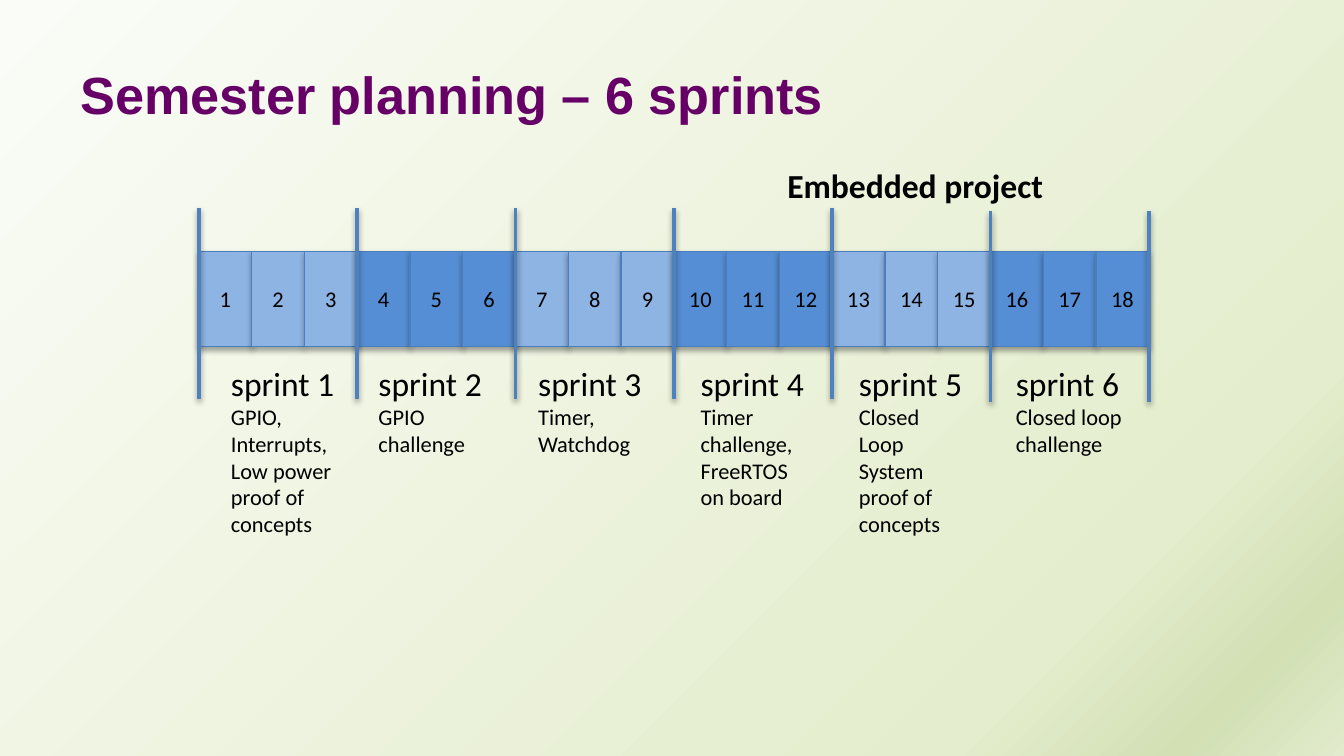
from dataclasses import dataclass

from lxml import etree
from pptx import Presentation
from pptx.dml.color import RGBColor
from pptx.enum.shapes import MSO_CONNECTOR, MSO_SHAPE
from pptx.enum.text import MSO_ANCHOR, PP_ALIGN
from pptx.oxml import parse_xml
from pptx.oxml.ns import nsdecls, qn
from pptx.util import Inches, Pt

RECT, STRAIGHT = MSO_SHAPE.RECTANGLE, MSO_CONNECTOR.STRAIGHT
LEFT, CENTER = PP_ALIGN.LEFT, PP_ALIGN.CENTER
TOP, MIDDLE = MSO_ANCHOR.TOP, MSO_ANCHOR.MIDDLE


@dataclass(frozen=True)
class Theme:
    heading_font: str = "Arial"
    body_font: str = "Calibri"
    heading: str = "660066"
    text: str = "000000"
    weeks: tuple = ("8EB4E3", "558ED5")
    week_line: str = "4B7EBC"
    divider: str = "4F81BD"
    background: tuple = ((0, "FAFCF7"), (81, "E4EDCD"), (92, "D2E0B4"), (100, "E1EBCD"))
    title_size: int = 28
    label_size: int = 18
    small_size: int = 12


def write(p, text, size, font, color, bold=False, align=LEFT):
    p.alignment = align
    r = p.add_run()
    r.text = text
    r.font.size, r.font.name, r.font.bold = Pt(size), font, bold
    r.font.color.rgb = RGBColor.from_string(color)


def add_shadow(effects, alpha, dist):
    """Fill an a:effectLst with a soft shadow that falls straight down."""
    outer = etree.SubElement(effects, qn("a:outerShdw"), blurRad=str(Pt(3.1)),
                             dist=str(Pt(dist)), dir="5400000", rotWithShape="0")
    color = etree.SubElement(outer, qn("a:srgbClr"), val="000000")
    etree.SubElement(color, qn("a:alpha"), val=str(alpha * 1000))


class Deck:
    """Holds the theme and the current slide; lengths are percent of the slide."""

    def __init__(self, theme, width=10, height=5.625):
        self.theme = theme
        self.prs = Presentation()
        self.prs.slide_width, self.prs.slide_height = Inches(width), Inches(height)
        self.s = self.prs.slides.add_slide(self.prs.slide_layouts[6])

    def x(self, share):
        return round(self.prs.slide_width * share / 100)

    def y(self, share):
        return round(self.prs.slide_height * share / 100)

    def place(self, left, top, width, height):
        return self.x(left), self.y(top), self.x(width), self.y(height)

    def background(self):
        stops = "".join(f'<a:gs pos="{pos * 1000}"><a:srgbClr val="{color}"/></a:gs>'
                        for pos, color in self.theme.background)
        self.s.background.fill.solid()
        bg = self.s.background._cSld.bg.bgPr
        bg.replace(bg.find(qn("a:solidFill")), parse_xml(
            f'<a:gradFill {nsdecls("a")} rotWithShape="1"><a:gsLst>{stops}</a:gsLst>'
            '<a:lin ang="2700000" scaled="0"/></a:gradFill>'))

    def text(self, box, lines, anchor=TOP):
        """Add a text box; lines is a list of (text, format) pairs."""
        tf = self.s.shapes.add_textbox(*self.place(*box)).text_frame
        tf.word_wrap, tf.vertical_anchor = True, anchor
        for i, (text, style) in enumerate(lines):
            write(tf.add_paragraph() if i else tf.paragraphs[0], text, **style)

    def week(self, box, number, fill):
        t = self.theme
        sp = self.s.shapes.add_shape(RECT, *self.place(*box))
        sp.fill.solid()
        sp.fill.fore_color.rgb = RGBColor.from_string(fill)
        sp.line.color.rgb = RGBColor.from_string(t.week_line)
        sp.line.width = Pt(0.75)
        sp.shadow.inherit = False
        add_shadow(sp._element.spPr.find(qn("a:effectLst")), alpha=35, dist=1.8)
        tf = sp.text_frame
        tf.margin_left = tf.margin_right = 0
        tf.vertical_anchor = MIDDLE
        write(tf.paragraphs[0], str(number), size=t.small_size, font=t.body_font,
              color=t.text, align=CENTER)

    def divider(self, x, top, height):
        line = self.s.shapes.add_connector(STRAIGHT, self.x(x), self.y(top),
                                           self.x(x), self.y(top + height))
        line.line.color.rgb = RGBColor.from_string(self.theme.divider)
        line.line.width = Pt(2)
        effects = etree.SubElement(line._element.spPr, qn("a:effectLst"))
        add_shadow(effects, alpha=38, dist=1.6)


WEEKS_PER_SPRINT = 3
START, SPRINT = 14.8, 11.78
WEEK = SPRINT / WEEKS_PER_SPRINT
# Topics of each sprint, with the distance of the text box from the sprint's start
SPRINTS = [
    ("GPIO, Interrupts, Low power proof of concepts", 1.4),
    ("GPIO challenge", 0.6),
    ("Timer, Watchdog", 0.7),
    ("Timer challenge, FreeRTOS on board", 1),
    ("Closed Loop System proof of concepts", 1),
    ("Closed loop challenge", 0.9),
]


def main():
    t = Theme()
    deck = Deck(t)
    deck.background()
    title = dict(size=t.title_size, font=t.heading_font, color=t.heading, bold=True)
    label = dict(size=t.label_size, font=t.body_font, color=t.text)
    topic = dict(label, size=t.small_size)

    deck.text((5, 4.1, 90, 16.7), [("Semester planning – 6 sprints", title)], MIDDLE)
    for i in range(len(SPRINTS) * WEEKS_PER_SPRINT):
        fill = t.weeks[i // WEEKS_PER_SPRINT % 2]
        deck.week((START + i * WEEK, 33.25, WEEK, 12.6), i + 1, fill)
    for i in range(len(SPRINTS) + 1):
        deck.divider(START + i * SPRINT, 27.9 if i > 4 else 27.55, 25.25)
    for i, (topics, inset) in enumerate(SPRINTS):
        deck.text((START + i * SPRINT + inset, 47.1, 10, 25),
                  [(f"sprint {i + 1}", label), (topics, topic)])
    deck.text((57.6, 21, 25.3, 7.1), [("Embedded project", dict(label, bold=True))])
    deck.prs.save("out.pptx")


if __name__ == "__main__":
    main()
